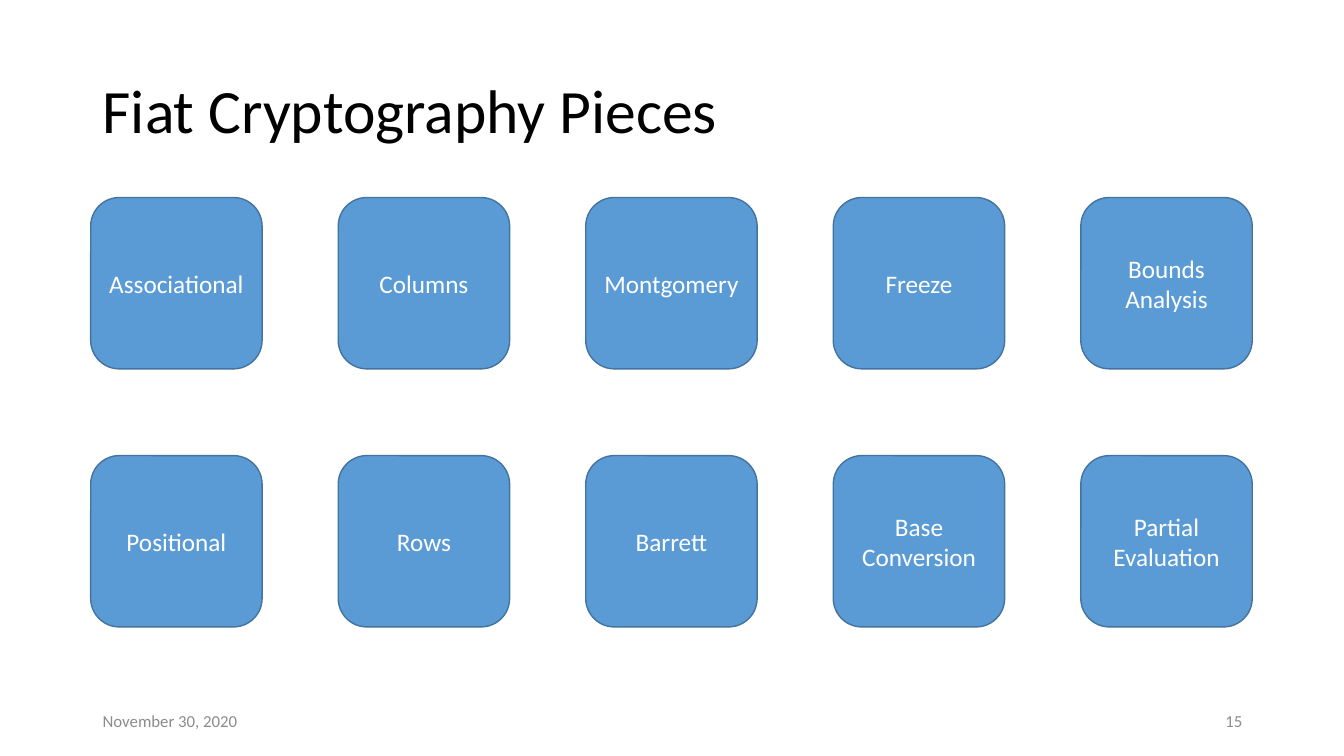
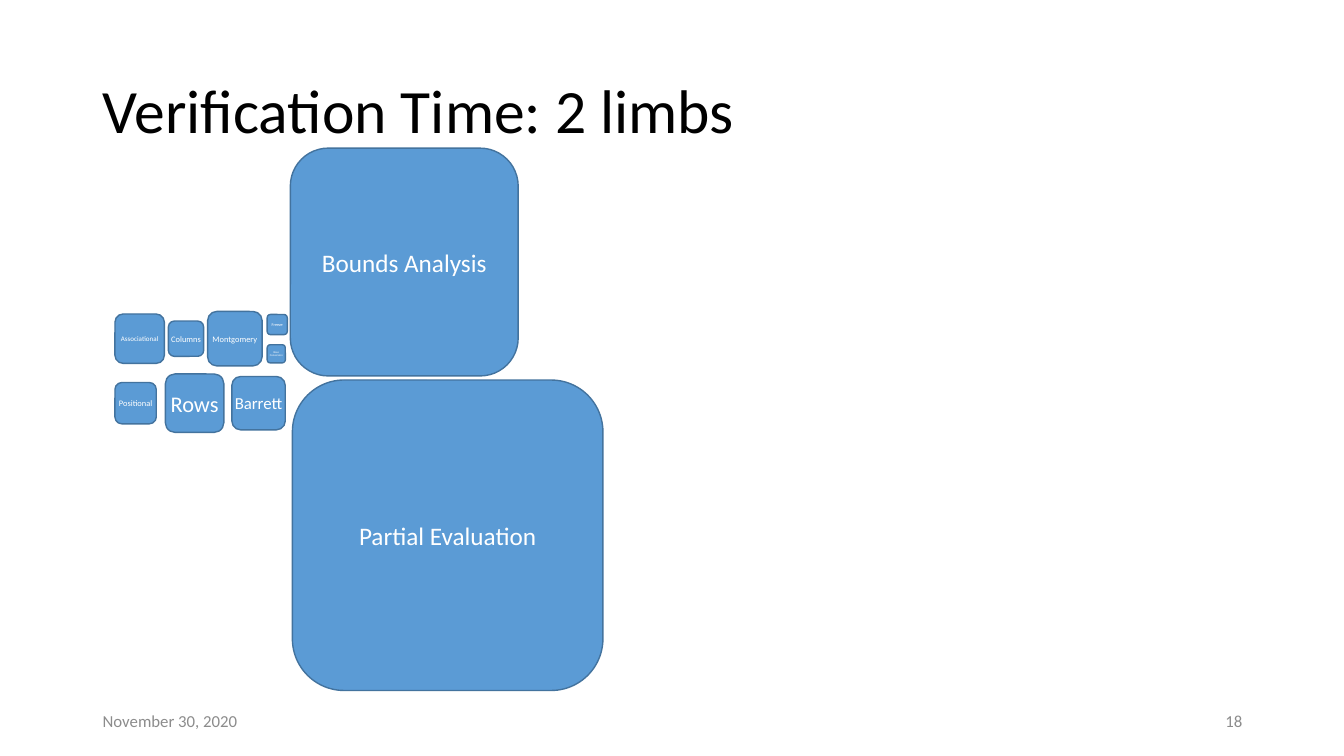
from pptx import Presentation
from pptx.dml.color import RGBColor
from pptx.enum import shapes, text
from pptx.util import Inches, Pt

FONT = "Calibri"
BLACK, GREY, WHITE = "000000", "8C8C8C", "FFFFFF"
TILE_FILL, TILE_LINE = "5B9BD5", "43739E"
MARGIN, CONTENT_WIDTH = 0.92, 11.5
DATE = "November 30, 2020"
ALIGN = text.PP_ALIGN


def color(hex_code):
    return RGBColor.from_string(hex_code)


def write(shape, words, size, hex_code, alignment):
    """Set one vertically centred paragraph in a shape."""
    frame = shape.text_frame
    frame.word_wrap = True
    frame.vertical_anchor = text.MSO_ANCHOR.MIDDLE
    frame.text = words
    paragraph = frame.paragraphs[0]
    paragraph.alignment = alignment
    font = paragraph.runs[0].font
    font.name, font.size = FONT, Pt(size)
    font.color.rgb = color(hex_code)
    return paragraph


def add_label(slide, box, words, size, hex_code, alignment=ALIGN.LEFT):
    label = slide.shapes.add_textbox(*map(Inches, box))
    return write(label, words, size, hex_code, alignment)


def add_title(slide, words):
    title = add_label(slide, (MARGIN, 0.4, CONTENT_WIDTH, 1.45), words, 44, BLACK)
    title.line_spacing = 0.9


def add_footer(slide, number):
    width = 3
    right = MARGIN + CONTENT_WIDTH - width
    add_label(slide, (MARGIN, 6.95, width, 0.4), DATE, 12, GREY)
    add_label(slide, (right, 6.95, width, 0.4), str(number), 12, GREY, ALIGN.RIGHT)


def add_tile(slide, left, middle, side, words, size=18, padded=True):
    """Draw a rounded square centred vertically on middle."""
    tile = slide.shapes.add_shape(
        shapes.MSO_SHAPE.ROUNDED_RECTANGLE,
        Inches(left), Inches(middle - side / 2), Inches(side), Inches(side))
    tile.shadow.inherit = False
    tile.fill.solid()
    tile.fill.fore_color.rgb = color(TILE_FILL)
    tile.line.color.rgb = color(TILE_LINE)
    tile.line.width = Pt(1)
    if not padded:
        frame = tile.text_frame
        frame.margin_left = frame.margin_right = 0
        frame.margin_top = frame.margin_bottom = 0
    write(tile, words, size, WHITE, ALIGN.CENTER)


def add_tile_grid(slide, box, side, rows):
    """Spread equal tiles from edge to edge of the box."""
    left, top, width, height = box
    for row, names in enumerate(rows):
        middle = top + side / 2 + row * (height - side) / (len(rows) - 1)
        for column, name in enumerate(names):
            x = left + column * (width - side) / (len(names) - 1)
            add_tile(slide, x, middle, side, name)


def add_time_tiles(slide, left, middle, tiles):
    """Place tiles, sized by time, by their offsets from a starting point."""
    for name, x, y, side, size, padded in tiles:
        add_tile(slide, left + x, middle + y, side, name, size, padded)


def add_slide(presentation, title, number):
    slide = presentation.slides.add_slide(presentation.slide_layouts[6])
    add_title(slide, title)
    add_footer(slide, number)
    return slide


PIECES = [
    ["Associational", "Columns", "Montgomery", "Freeze", "Bounds Analysis"],
    ["Positional", "Rows", "Barrett", "Base Conversion", "Partial Evaluation"],
]

# Name, left offset, centre offset, side, text size, padded
TIMES = [
    ("Associational", 0, 0, 0.49, 5, False),
    ("Columns", 0.53, 0, 0.35, 6, False),
    ("Montgomery", 0.92, 0, 0.54, 6, False),
    ("Freeze", 1.51, -0.14, 0.2, 3, False),
    ("Base Conversion", 1.51, 0.15, 0.18, 2, False),
    ("Positional", 0, 0.64, 0.41, 6, False),
    ("Rows", 0.5, 0.64, 0.58, 16, False),
    ("Barrett", 1.16, 0.64, 0.53, 12, False),
    ("Bounds Analysis", 1.74, -0.76, 2.26, 18, False),
    ("Partial Evaluation", 1.76, 1.95, 3.08, 18, True),
]


def main():
    presentation = Presentation()
    presentation.slide_width = Inches(13.33)
    presentation.slide_height = Inches(7.5)

    # Equal tiles for all pieces
    pieces = add_slide(presentation, "Fiat Cryptography Pieces", 15)
    add_tile_grid(pieces, (0.9, 1.96, 11.52, 4.26), 1.7, PIECES)

    # Tiles scaled by verification time
    times = add_slide(presentation, "Verification Time: 2 limbs", 18)
    add_time_tiles(times, 1.14, 3.36, TIMES)

    presentation.save("out.pptx")


if __name__ == "__main__":
    main()
